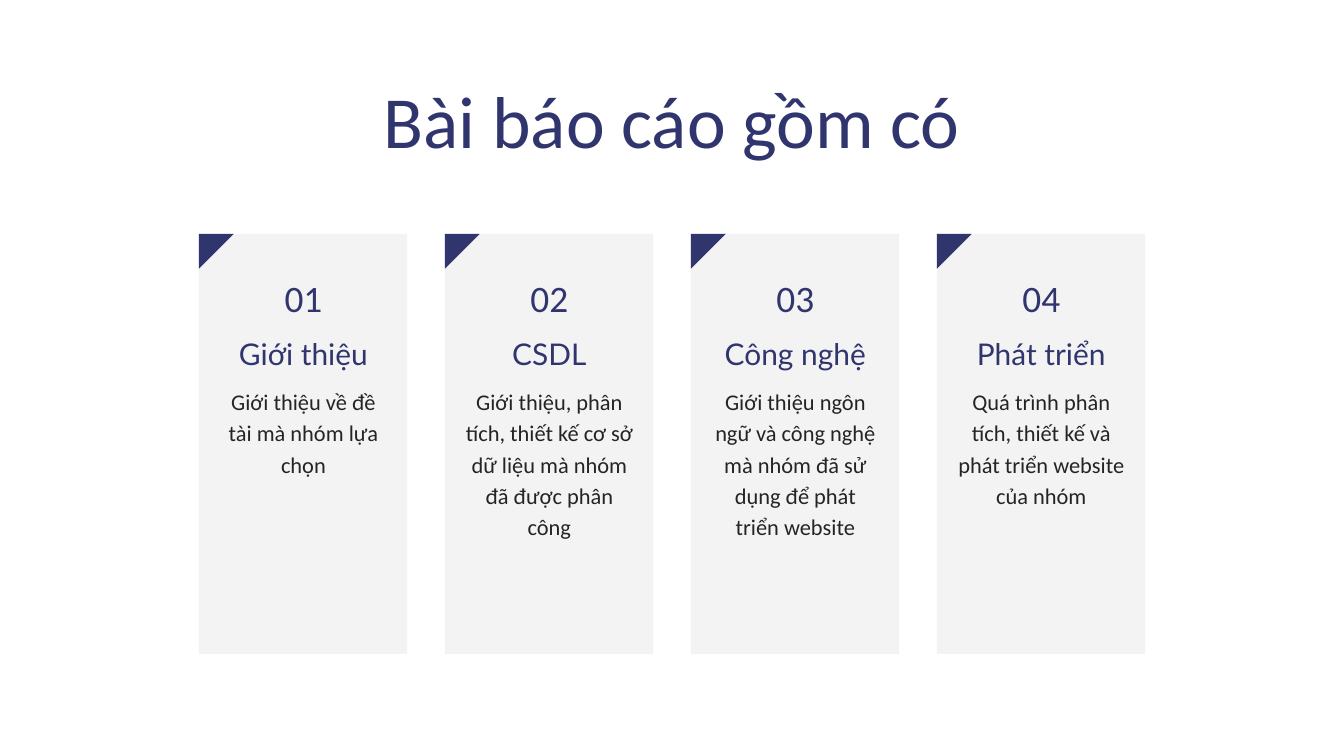
from pptx import Presentation
from pptx.dml.color import RGBColor
from pptx.enum.shapes import MSO_SHAPE as SHAPE
from pptx.enum.text import MSO_ANCHOR as ANCHOR, MSO_AUTO_SIZE as AUTO, PP_ALIGN as ALIGN
from pptx.oxml.ns import qn
from pptx.util import Pt
from lxml import etree

PX = 9144  # 100 px to the inch
COLORS = {"navy": "31356E", "ink": "242424", "white": "FFFFFF"}


def set_text(s, text, size, spacing, color, font="Calibri"):
    tf = s.text_frame
    tf.text = text
    tf.word_wrap = True
    tf.auto_size = AUTO.SHAPE_TO_FIT_TEXT
    tf.vertical_anchor = ANCHOR.TOP
    tf.margin_left = tf.margin_top = tf.margin_right = tf.margin_bottom = 0
    p = tf.paragraphs[0]
    p.alignment = ALIGN.CENTER
    p.line_spacing = Pt(spacing)
    r = p.runs[0]
    r.font.name = font
    r.font.size = Pt(size)
    r.font.color.rgb = RGBColor.from_string(COLORS[color])


def add_filled(kind, x, y, w, h, color):
    s = slide.shapes.add_shape(kind, x * PX, y * PX, w * PX, h * PX)
    s.shadow.inherit = False
    s.fill.solid()
    s.fill.fore_color.rgb = RGBColor.from_string(COLORS[color])
    s.line.fill.background()
    return s


prs = Presentation()
prs.slide_width, prs.slide_height = 2000 * PX, 1125 * PX
slide = prs.slides.add_slide(prs.slide_layouts[5])
slide.background.fill.solid()
slide.background.fill.fore_color.rgb = RGBColor.from_string(COLORS["white"])

# Title
title = slide.shapes.title
title.left, title.top, title.width, title.height = 264 * PX, 112 * PX, 1472 * PX, 130 * PX
set_text(title, "Bài báo cáo gồm có", 78.7, 94.5, "navy")

# Section cards: heading, description, description height
cards = [
    ("Giới thiệu", "Giới thiệu về đề tài mà nhóm lựa chọn", 135),
    ("CSDL", "Giới thiệu, phân tích, thiết kế cơ sở dữ liệu mà nhóm đã được phân công", 226),
    ("Công nghệ", "Giới thiệu ngôn ngữ và công nghệ mà nhóm đã sử dụng để phát triển website", 272),
    ("Phát triển", "Quá trình phân tích, thiết kế và phát triển website của nhóm", 226),
]
for i, (heading, description, height) in enumerate(cards):
    x = 296 + 366 * i

    # Pale panel with a folded corner
    panel = add_filled(SHAPE.RECTANGLE, x, 348, 310, 625, "ink")
    rgb = panel.fill._xPr.find(qn("a:solidFill")).find(qn("a:srgbClr"))
    etree.SubElement(rgb, qn("a:alpha")).set("val", "5000")
    corner = add_filled(SHAPE.RIGHT_TRIANGLE, x, 348, 52, 52, "navy")
    corner.rotation = 90

    # Number, heading and description
    for y, h, *style in [
        (409, 66, f"{i + 1:02}", 40, 48, "navy"),
        (499, 52, heading, 32, 38.4, "navy", "Lato"),
        (571, height, description, 24, 33.6, "ink"),
    ]:
        box = slide.shapes.add_textbox((x + 31) * PX, y * PX, 249 * PX, h * PX)
        set_text(box, *style)

prs.save("out.pptx")
